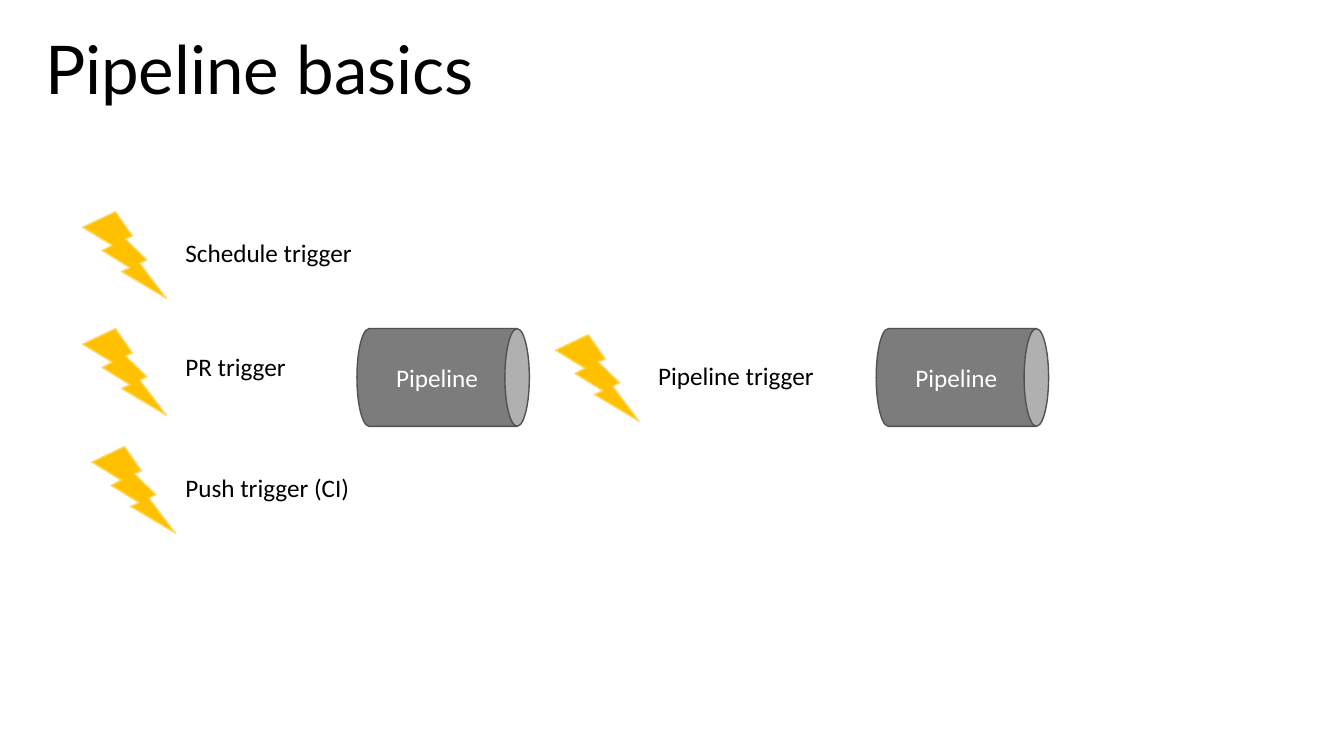
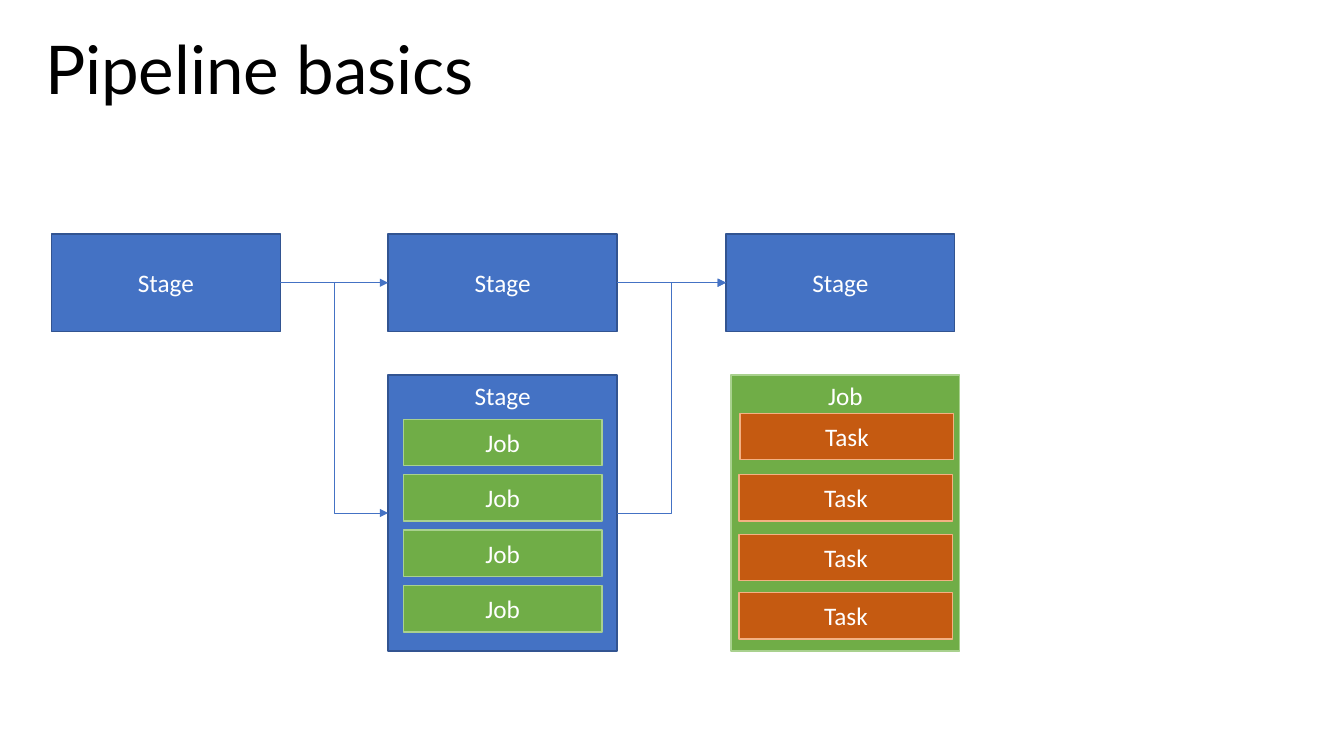
import pptx
import pptx.util
import pptx.dml.color
import pptx.enum.shapes
import pptx.enum.text
import pptx.oxml
import pptx.oxml.ns

Inches = pptx.util.Inches
Pt = pptx.util.Pt
RGBColor = pptx.dml.color.RGBColor
MSO_SHAPE = pptx.enum.shapes.MSO_SHAPE
MSO_CONNECTOR = pptx.enum.shapes.MSO_CONNECTOR
MSO_ANCHOR = pptx.enum.text.MSO_ANCHOR
PP_ALIGN = pptx.enum.text.PP_ALIGN
qn = pptx.oxml.ns.qn

BLACK = RGBColor(0x00, 0x00, 0x00)
WHITE = RGBColor(0xFF, 0xFF, 0xFF)
# Each pair is fill and outline
PIPELINE_GREY = (RGBColor(0x7C, 0x7C, 0x7C), RGBColor(0x52, 0x52, 0x52))
TRIGGER_GOLD = (RGBColor(0xFF, 0xC0, 0x00), RGBColor(0xFF, 0xD9, 0x66))
STAGE_BLUE = (RGBColor(0x44, 0x72, 0xC4), RGBColor(0x32, 0x54, 0x91))
JOB_GREEN = (RGBColor(0x70, 0xAD, 0x47), RGBColor(0xA9, 0xD1, 0x8E))
TASK_ORANGE = (RGBColor(0xC5, 0x5A, 0x11), RGBColor(0xF4, 0xB1, 0x83))

TITLE_FONT = "Lato"
BODY_FONT = "Calibri"
BODY_SIZE = 18


def write_text(shape, text, color, align, anchor, font=BODY_FONT, size=BODY_SIZE):
    frame = shape.text_frame
    frame.word_wrap = True
    frame.vertical_anchor = anchor
    paragraph = frame.paragraphs[0]
    paragraph.text = text
    paragraph.alignment = align
    paragraph.font.name = font
    paragraph.font.size = Pt(size)
    paragraph.font.color.rgb = color
    return paragraph


def add_block(shapes, kind, left, top, width, height, colors, text="",
              anchor=MSO_ANCHOR.MIDDLE):
    shape = shapes.add_shape(kind, Inches(left), Inches(top), Inches(width), Inches(height))
    shape.shadow.inherit = False
    shape.fill.solid()
    shape.fill.fore_color.rgb, shape.line.color.rgb = colors
    shape.line.width = Pt(1)
    if text:
        write_text(shape, text, WHITE, PP_ALIGN.CENTER, anchor)
    return shape


presentation = pptx.Presentation()
presentation.slide_width = Inches(13.33)
presentation.slide_height = Inches(7.5)

# Both slides with their shared title
slides = []
for title_text in ["Pipeline basics"] * 2:
    slide = presentation.slides.add_slide(presentation.slide_layouts[6])
    title = slide.shapes.add_textbox(Inches(0.23), Inches(0.29), Inches(4.69), Inches(0.86))
    paragraph = write_text(title, title_text, BLACK, PP_ALIGN.CENTER, MSO_ANCHOR.MIDDLE,
                           TITLE_FONT, 48)
    paragraph.line_spacing = 0.9
    slides.append(slide)
trigger_slide, stage_slide = slides

# Slide 1: pipelines as cylinders lying on their side
for left in (3.91, 9.06):
    pipeline = add_block(trigger_slide.shapes, MSO_SHAPE.CAN, left, 2.89, 0.97, 1.71,
                         PIPELINE_GREY, "Pipeline")
    pipeline.rotation = 90
    pipeline.element.txBody.bodyPr.set("vert", "vert270")

# Slide 1: triggers, each a bolt grouped with its label
triggers = [
    ("Schedule trigger", 0.82, 2.10, 1.74, 2.31),
    ("PR trigger", 0.82, 3.26, 1.74, 3.44),
    ("Push trigger (CI)", 0.91, 4.43, 1.74, 4.64),
    ("Pipeline trigger", 5.51, 3.32, 6.43, 3.53),
]
for text, bolt_left, bolt_top, label_left, label_top in triggers:
    group = trigger_slide.shapes.add_group_shape()
    add_block(group.shapes, MSO_SHAPE.LIGHTNING_BOLT, bolt_left, bolt_top, 0.83, 0.86,
              TRIGGER_GOLD)
    label = group.shapes.add_textbox(Inches(label_left), Inches(label_top),
                                     Inches(2), Inches(0.4))
    write_text(label, text, BLACK, PP_ALIGN.LEFT, MSO_ANCHOR.TOP)

# Slide 2: row of stages, then the stage and job that are opened up
RECTANGLE = MSO_SHAPE.RECTANGLE
BOX_WIDTH = 2.27
first, second, third = [
    add_block(stage_slide.shapes, RECTANGLE, left, 2.32, BOX_WIDTH, 0.97, STAGE_BLUE, "Stage")
    for left in (0.51, 3.85, 7.2)
]
open_stage, open_job = [
    add_block(stage_slide.shapes, RECTANGLE, left, 3.72, BOX_WIDTH, 2.74, colors, text,
              MSO_ANCHOR.TOP)
    for left, colors, text in ((3.85, STAGE_BLUE, "Stage"), (7.25, JOB_GREEN, "Job"))
]

# Slide 2: jobs inside the stage, tasks inside the job
for row in range(4):
    add_block(stage_slide.shapes, RECTANGLE, 4, 4.16 + 0.55 * row, 1.97, 0.46,
              JOB_GREEN, "Job")
for left, top in ((7.34, 4.1), (7.33, 4.71), (7.33, 5.3), (7.33, 5.88)):
    add_block(stage_slide.shapes, RECTANGLE, left, top, 2.12, 0.46, TASK_ORANGE, "Task")

# Slide 2: arrows from the right side of one stage to the left side of the next
LEFT_SITE, RIGHT_SITE = 1, 3
arrows = [
    (MSO_CONNECTOR.STRAIGHT, first, second),
    (MSO_CONNECTOR.STRAIGHT, second, third),
    (MSO_CONNECTOR.ELBOW, first, open_stage),
    (MSO_CONNECTOR.ELBOW, open_stage, third),
]
for kind, source, target in arrows:
    arrow = stage_slide.shapes.add_connector(
        kind,
        source.left + source.width, source.top + source.height // 2,
        target.left, target.top + target.height // 2)
    arrow.begin_connect(source, RIGHT_SITE)
    arrow.end_connect(target, LEFT_SITE)
    arrow.line.color.rgb = STAGE_BLUE[0]
    arrow.line.width = Pt(0.5)
    properties = arrow.element.spPr
    head = pptx.oxml.parse_xml(
        '<a:tailEnd xmlns:a="http://schemas.openxmlformats.org/drawingml/2006/main"'
        ' type="triangle"/>')
    properties.find(qn("a:ln")).append(head)
    properties.append(properties.makeelement(qn("a:effectLst"), {}))

presentation.save("out.pptx")
